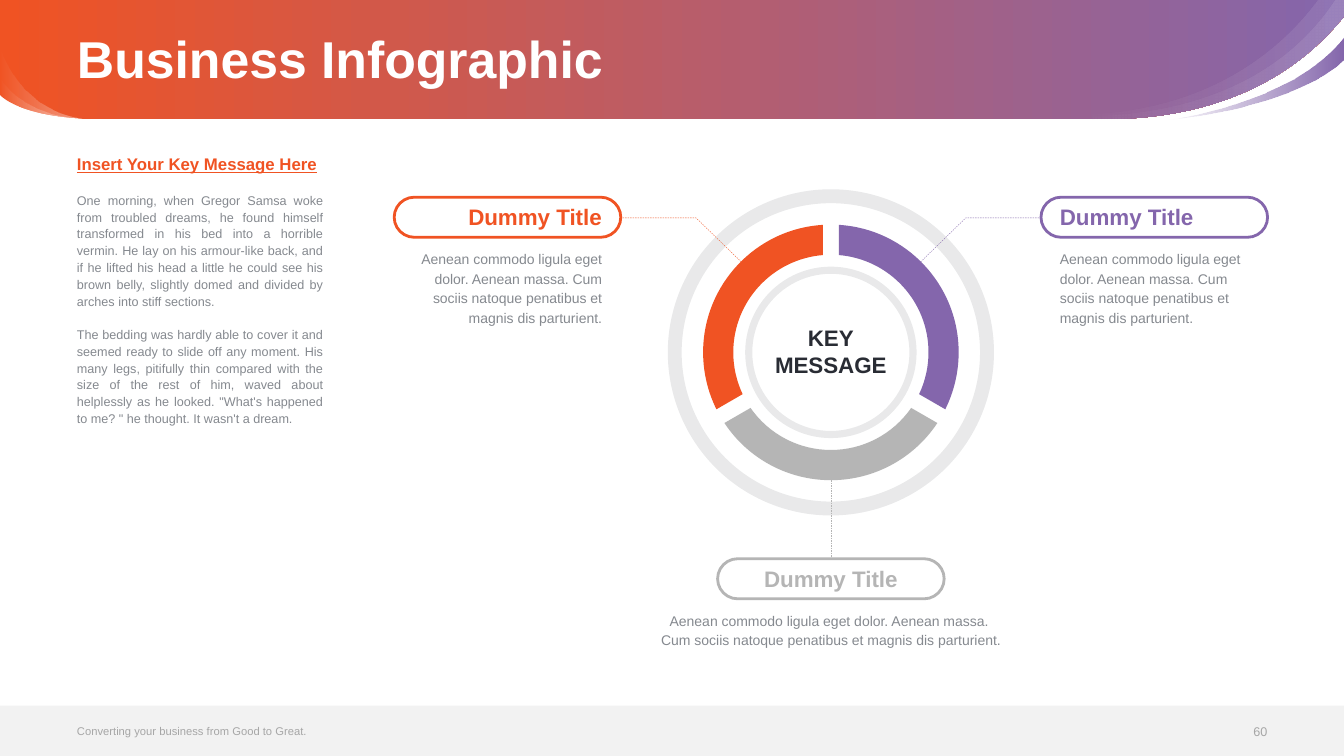
from dataclasses import dataclass
from math import asin, cos, degrees, radians, sin, tan

from lxml import etree
from pptx import Presentation
from pptx import util as u
from pptx.dml.color import RGBColor
from pptx.enum import dml, shapes, text
from pptx.oxml.ns import qn


@dataclass(frozen=True)
class Theme:
    font: str = "Arial"
    orange: str = "F05323"
    purple: str = "8466AC"
    silver: str = "B5B5B5"
    dark: str = "292C34"
    body: str = "85898F"
    footer: str = "A6A6A6"
    footer_band: str = "F2F2F2"
    white: str = "FFFFFF"
    title_size: float = 37
    label_size: float = 16
    heading_size: float = 12
    text_size: float = 10
    story_size: float = 9
    tagline_size: float = 8


THEME = Theme()
LEFT, CENTER, RIGHT = text.PP_ALIGN.LEFT, text.PP_ALIGN.CENTER, text.PP_ALIGN.RIGHT
JUSTIFY = text.PP_ALIGN.JUSTIFY
MIDDLE = text.MSO_ANCHOR.MIDDLE
DASH = dml.MSO_LINE.DASH

# Content; all lengths are in centimetres
TITLE = "Business Infographic"
HEADING = "Insert Your Key Message Here"
STORY = [
    "One morning, when Gregor Samsa woke from troubled dreams, he found himself "
    "transformed in his bed into a horrible vermin. He lay on his armour-like back, "
    "and if he lifted his head a little he could see his brown belly, slightly domed "
    "and divided by arches into stiff sections.",
    "The bedding was hardly able to cover it and seemed ready to slide off any moment. "
    "His many legs, pitifully thin compared with the size of the rest of him, waved "
    "about helplessly as he looked. \"What's happened to me? \" he thought. "
    "It wasn't a dream.",
]
KEY_MESSAGE = ["KEY", "MESSAGE"]
LABEL = "Dummy Title"
DETAIL = ["Aenean commodo ligula eget dolor. Aenean massa. ",
          "Cum sociis natoque penatibus et magnis dis parturient."]
TAGLINE, PAGE_NUMBER = "Converting your business from Good to Great.", "60"

# Header outlines: a pair is a straight step, six numbers are a curve.
# Gradient stops are (position, colour, opacity %).
SHEEN = [(0.15, THEME.white, 0), (1, THEME.white, 10)]
GLOW = [(0, THEME.white, 0), (1, THEME.white, 50)]
HEADER = [
    ([(33.87, 0), (33.87, 0.41), (32.16, 2.54, 29.72, 2.97, 28.07, 3), (2.46, 3),
      (0.46, 2.97, 0, 2.39, 0, 2.39), (0, 0)],
     [(0, THEME.orange, 100), (1, THEME.purple, 100)]),
    ([(33.87, 0), (33.87, 0.41), (31.09, 3.89, 26.39, 2.87, 26.26, 2.84),
      (26.42, 2.84, 31.29, 3.53, 33.63, 0)], SHEEN),
    ([(29.39, 3), (29.39, 3, 32.56, 2.62, 33.87, 0.94), (33.87, 1.5),
      (33.87, 1.5, 32.87, 2.64, 29.39, 3)],
     [(0, THEME.purple, 0), (1, THEME.purple, 100)]),
    ([(33.87, 0), (33.87, 0.41), (31.06, 3.94, 26.26, 2.84, 26.26, 2.84),
      (30.2, 3.1, 32.26, 1.27, 33.2, 0)], SHEEN),
    ([(2.46, 3), (0.46, 2.97, 0, 2.39, 0, 2.39), (0, 1.93),
      (0, 1.93, 0.46, 2.97, 2.46, 3)], GLOW),
    ([(2.46, 3), (0.46, 2.97, 0, 2.39, 0, 2.39), (0, 1.14),
      (0, 1.14, 0.46, 2.95, 2.46, 3)], GLOW),
]

PAGE_W, PAGE_H, MARGIN = 33.87, 19.05, 1.94
HUB_X, HUB_Y = 20.94, 8.88
RINGS = [(2.16, 0.18), (4.11, 0.35)]  # radius, thickness
ARC_INNER, ARC_OUTER, HALF_GAP = 2.46, 3.22, 0.2
SECTORS = [(30, 90, THEME.silver), (150, 180, THEME.orange), (270, 360, THEME.purple)]
PILL_W, PILL_H = 5.71, 1.01
SIDE_TOP, BOTTOM_TOP, SIDE_OFFSET = 4.97, 14.08, 8.15
TEXT_OFFSET, SIDE_TEXT_W, BOTTOM_TEXT_W = 5.77, 4.9, 9
LEADER = [(2.26, 6.6), (3.4, 5.49), (SIDE_OFFSET - PILL_W / 2, 5.49)]  # from hub, y

deck = Presentation()
deck.slide_width, deck.slide_height = u.Cm(PAGE_W), u.Cm(PAGE_H)
page = deck.slides.add_slide(deck.slide_layouts[6])


def rgb(color):
    return RGBColor.from_string(color)


def set_opacity(color_element, percent):
    etree.SubElement(color_element, qn("a:alpha")).set("val", str(percent * 1000))


def fill_plain(shape, color):
    shape.shadow.inherit = False
    shape.fill.solid()
    shape.fill.fore_color.rgb = rgb(color)
    shape.line.fill.background()


def stroke(line, color, width, dash=None):
    line.color.rgb, line.width = rgb(color), u.Pt(width)
    if dash:
        line.dash_style = dash


def add_preset(kind, left, top, width, height):
    return page.shapes.add_shape(kind, u.Cm(left), u.Cm(top), u.Cm(width), u.Cm(height))


def add_outline(steps, close=True):
    """Draw straight steps (x, y) and cubic curves (three points in six numbers)."""
    corners = [(u.Cm(step[i]), u.Cm(step[i + 1]))
               for step in steps for i in range(0, len(step), 2)]
    builder = page.shapes.build_freeform(*corners[0], scale=1)
    builder.add_line_segments(corners[1:], close=close)
    shape = builder.convert_to_shape()
    shape.shadow.inherit = False
    segments = shape._element.spPr.iter(qn("a:lnTo"))
    segments = iter(list(segments))
    for step in steps[1:]:
        segment = next(segments)
        if len(step) == 6:
            curve = etree.Element(qn("a:cubicBezTo"))
            segment.addprevious(curve)
            for part in (segment, next(segments), next(segments)):
                curve.append(part[0])
                part.getparent().remove(part)
    return shape


def arc(radius, start, split, direction):
    """Two curves along a hub arc, trimmed so neighbours keep a parallel gap."""
    trim = degrees(asin(HALF_GAP / radius))
    angles = [radians(a) for a in (start + trim, split, start + 120 - trim)][::direction]

    def spot(angle, pull=0):
        return (HUB_X + radius * (cos(angle) - pull * sin(angle)),
                HUB_Y + radius * (sin(angle) + pull * cos(angle)))

    steps = [spot(angles[0])]
    for first, last in zip(angles, angles[1:]):
        pull = 4 / 3 * tan((last - first) / 4)
        steps.append(spot(first, pull) + spot(last, -pull) + spot(last))
    return steps


def add_text(lines, left, top, width, height, size, color, align=LEFT, bold=False,
             spacing=None, anchor=text.MSO_ANCHOR.TOP):
    box = page.shapes.add_textbox(u.Cm(left), u.Cm(top), u.Cm(width), u.Cm(height))
    frame = box.text_frame
    frame.word_wrap, frame.vertical_anchor = True, anchor
    frame.margin_left = frame.margin_right = frame.margin_top = frame.margin_bottom = 0
    for index, line in enumerate(lines):
        para = frame.paragraphs[0] if index == 0 else frame.add_paragraph()
        para.alignment, para.line_spacing = align, spacing
        span = para.add_run()
        span.text = line
        span.font.name, span.font.size, span.font.bold = THEME.font, u.Pt(size), bold
        span.font.color.rgb = rgb(color)
    return frame


def add_callout(center, top, color, align, text_left, text_width, detail, detail_height):
    add_text(detail, text_left, top + 1.28, text_width, detail_height, THEME.text_size,
             THEME.body, align, spacing=u.Pt(14))
    add_text([LABEL], text_left, top + 0.16, text_width, 0.69, THEME.label_size,
             color, align, bold=True)
    pill = add_preset(shapes.MSO_SHAPE.ROUNDED_RECTANGLE, center - PILL_W / 2, top,
                      PILL_W, PILL_H)
    pill.adjustments[0] = 0.5
    pill.shadow.inherit = False
    pill.fill.background()
    stroke(pill.line, color, 2)
    return pill


# Header and footer
for steps, stops in HEADER:
    swoosh = add_outline(steps)
    swoosh.line.fill.background()
    swoosh.fill.gradient()
    swoosh.fill.gradient_angle = 0
    for stop, (position, color, _) in zip(swoosh.fill.gradient_stops, stops):
        stop.position, stop.color.rgb = position, rgb(color)
    for element, (_, _, opacity) in zip(swoosh._element.spPr.iter(qn("a:srgbClr")), stops):
        set_opacity(element, opacity)
fill_plain(add_preset(shapes.MSO_SHAPE.RECTANGLE, 0, 17.78, PAGE_W, 1.27), THEME.footer_band)
add_text([TITLE], MARGIN, 0.05, 30, 3, THEME.title_size, THEME.white, bold=True,
         spacing=0.9, anchor=MIDDLE)
add_text([TAGLINE], MARGIN, 18.09, 13.28, 0.66, THEME.tagline_size, THEME.footer, anchor=MIDDLE)
add_text([PAGE_NUMBER], 30.34, 18.11, 1.6, 0.66, THEME.story_size, THEME.footer, RIGHT,
         anchor=MIDDLE)

# Story column
story = add_text([HEADING] + STORY, MARGIN, 3.97, 6.2, 13.18, THEME.story_size, THEME.body,
                 JUSTIFY, spacing=u.Pt(12))
for para in story.paragraphs[:-1]:
    para.space_after = u.Pt(12)
heading = story.paragraphs[0].runs[0].font
heading.size, heading.bold, heading.underline = u.Pt(THEME.heading_size), True, True
heading.color.rgb = rgb(THEME.orange)

# Wheel and callouts
for radius, thickness in RINGS:
    ring = add_preset(shapes.MSO_SHAPE.DONUT, HUB_X - radius, HUB_Y - radius,
                      2 * radius, 2 * radius)
    ring.adjustments[0] = thickness / (2 * radius)
    fill_plain(ring, THEME.dark)
    set_opacity(next(ring._element.spPr.iter(qn("a:srgbClr"))), 10)
for side, color, align in [(-1, THEME.orange, RIGHT), (1, THEME.purple, LEFT)]:
    leader = add_outline([(HUB_X + side * dx, y) for dx, y in LEADER], close=False)
    leader.fill.background()
    stroke(leader.line, color, 0.25, DASH)
    near = HUB_X + side * TEXT_OFFSET
    add_callout(HUB_X + side * SIDE_OFFSET, SIDE_TOP, color, align,
                min(near, near + side * SIDE_TEXT_W), SIDE_TEXT_W, ["".join(DETAIL)], 2)
for start, split, color in SECTORS:
    fill_plain(add_outline(arc(ARC_OUTER, start, split, 1)
                           + arc(ARC_INNER, start, split, -1)), color)
bottom_pill = add_callout(HUB_X, BOTTOM_TOP, THEME.silver, CENTER, HUB_X - BOTTOM_TEXT_W / 2,
                          BOTTOM_TEXT_W, DETAIL, 1)
stem = page.shapes.add_connector(shapes.MSO_CONNECTOR.STRAIGHT, u.Cm(HUB_X),
                                 u.Cm(HUB_Y + ARC_OUTER), u.Cm(HUB_X), u.Cm(BOTTOM_TOP))
stem.end_connect(bottom_pill, 0)
stroke(stem.line, THEME.silver, 0.25, DASH)
etree.SubElement(stem._element.spPr, qn("a:effectLst"))
add_text(KEY_MESSAGE, HUB_X - 2.35, 8.18, 4.7, 1.37, THEME.label_size, THEME.dark, CENTER,
         bold=True)

deck.save("out.pptx")
